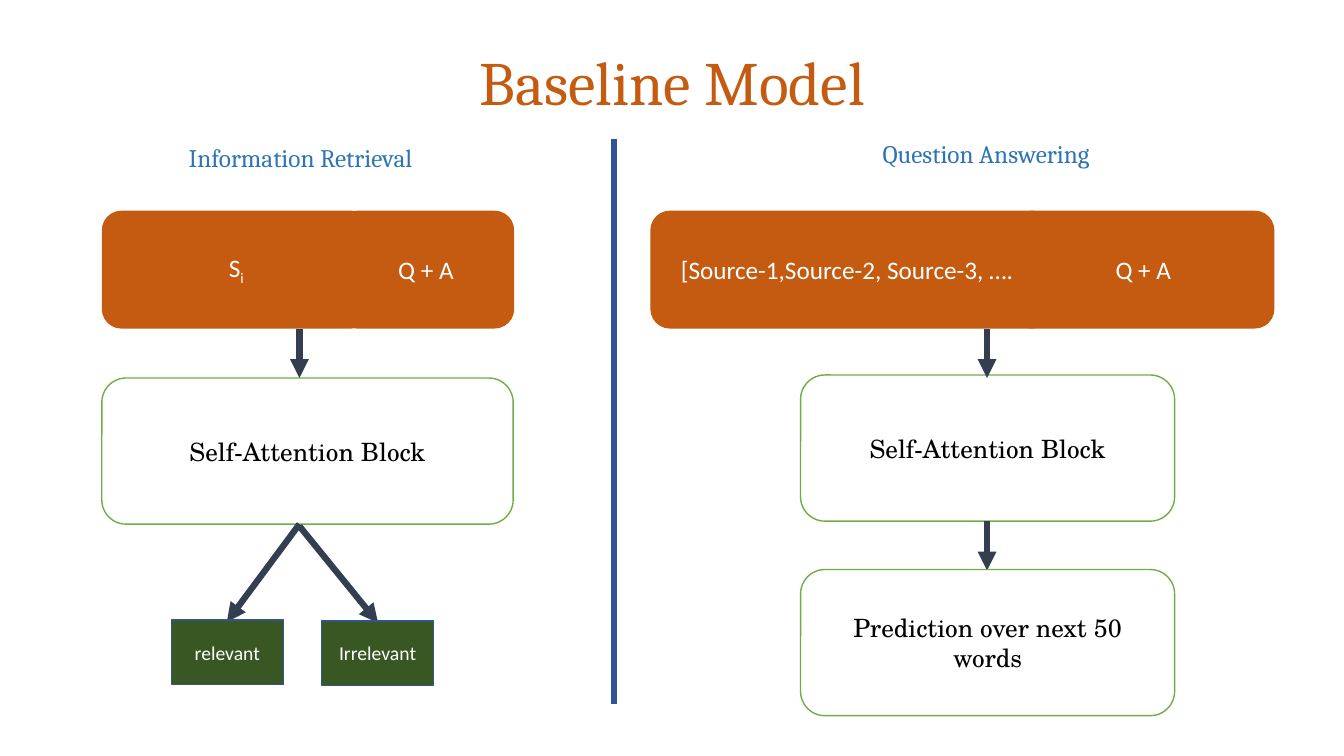
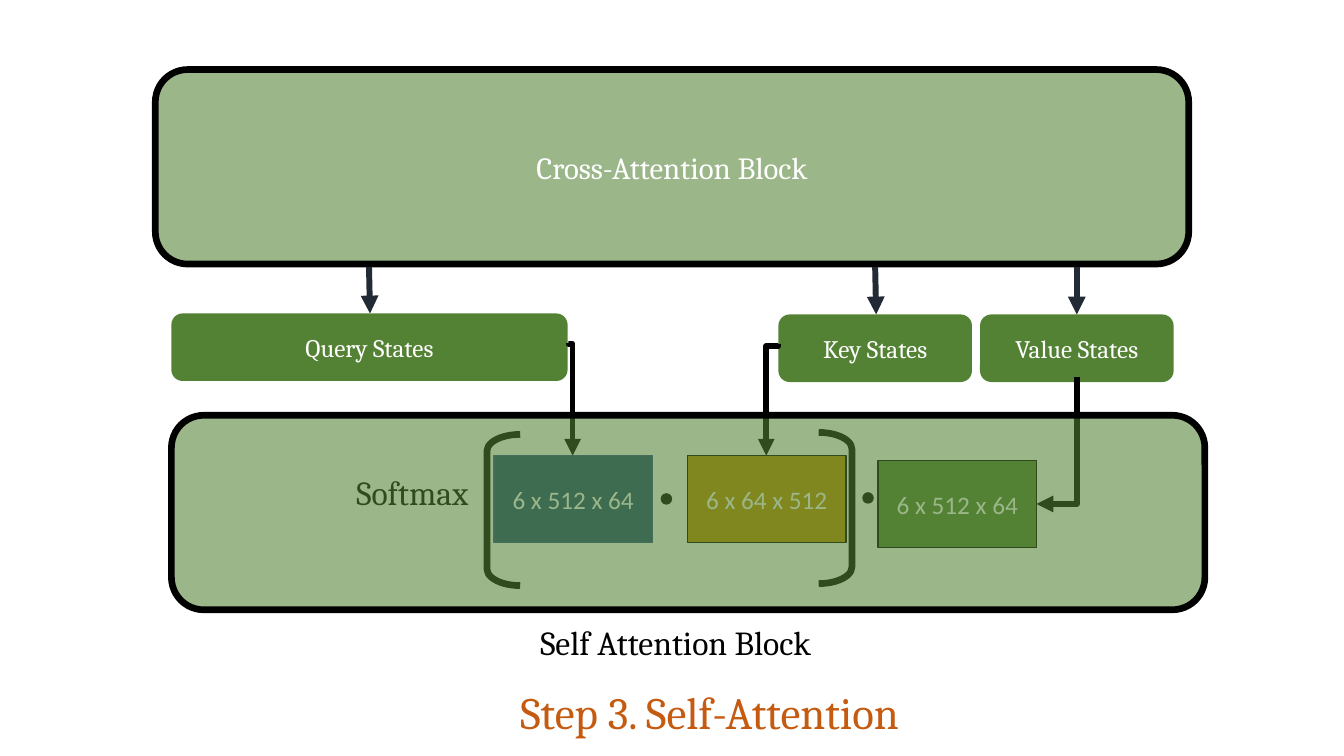
from dataclasses import dataclass
from typing import Optional

from lxml import etree
from pptx import Presentation
from pptx.dml.color import RGBColor
from pptx.enum import shapes, text
from pptx.oxml import ns
from pptx.util import Inches, Pt

WHITE = RGBColor(0xFF, 0xFF, 0xFF)
BLACK = RGBColor(0x00, 0x00, 0x00)
ORANGE = RGBColor(0xC5, 0x5A, 0x11)
HEADING_BLUE = RGBColor(0x2E, 0x75, 0xB6)
DIVIDER_BLUE = RGBColor(0x2F, 0x55, 0x97)
EDGE_BLUE = RGBColor(0x32, 0x54, 0x91)
DEEP_BLUE = RGBColor(0x1F, 0x4E, 0x79)
GOLD = RGBColor(0xBF, 0x90, 0x00)
GREEN = RGBColor(0x54, 0x82, 0x35)
DARK_GREEN = RGBColor(0x38, 0x57, 0x23)
LIGHT_GREEN = RGBColor(0x70, 0xAD, 0x47)
SLATE = RGBColor(0x33, 0x3F, 0x50)
DARK_SLATE = RGBColor(0x22, 0x2A, 0x35)

SANS, SERIF, SCHOLA = "Calibri", "Cambria", "TeX Gyre Schola"
RECT = shapes.MSO_SHAPE.RECTANGLE
ROUNDED = shapes.MSO_SHAPE.ROUNDED_RECTANGLE
DOT = shapes.MSO_SHAPE.FLOWCHART_CONNECTOR
CENTER = text.PP_ALIGN.CENTER

Point = tuple[float, float]
Frame = tuple[float, float, float, float]


@dataclass(frozen=True)
class Type:
    font: str
    size: float
    color: RGBColor = WHITE


@dataclass(frozen=True)
class Look:
    kind: shapes.MSO_SHAPE
    type: Type
    fill: Optional[RGBColor] = None
    line: Optional[RGBColor] = None
    weight: float = 1
    opacity: int = 100


@dataclass(frozen=True)
class Box:
    look: Look
    frame: Frame
    words: str = ""
    subscript: str = ""


@dataclass(frozen=True)
class Stroke:
    color: RGBColor
    weight: float
    arrow: bool = True


BODY = Type(SANS, 18)
INPUT = Look(ROUNDED, BODY, ORANGE)
BLOCK = Look(ROUNDED, Type(SCHOLA, 18, BLACK), WHITE, LIGHT_GREEN)
OUTCOME = Look(RECT, Type(SANS, 14), DARK_GREEN, EDGE_BLUE)
STATE = Look(ROUNDED, Type(SERIF, 18), GREEN)
PANEL = Look(ROUNDED, Type(SERIF, 22), GREEN, BLACK, 4.75, 58)
QUERY_MATRIX = Look(RECT, BODY, DEEP_BLUE, EDGE_BLUE)
KEY_MATRIX = Look(RECT, BODY, GOLD, BLACK)
VALUE_MATRIX = Look(RECT, BODY, GREEN, BLACK)
PRODUCT = Look(DOT, BODY, BLACK, BLACK)
OPEN_BRACKET = Look(shapes.MSO_SHAPE.LEFT_BRACKET, BODY, None, BLACK, 4.75)
CLOSE_BRACKET = Look(shapes.MSO_SHAPE.RIGHT_BRACKET, BODY, None, BLACK, 4.75)

HEADING = Type(SERIF, 18, HEADING_BLUE)
LABEL = Type(SERIF, 24, BLACK)
FLOW = Stroke(SLATE, 4.5)
STATE_FLOW = Stroke(DARK_SLATE, 4.25)
MATRIX_FLOW = Stroke(BLACK, 4)
DIVIDER = Stroke(DIVIDER_BLUE, 4.25, arrow=False)


def inches(frame: Frame) -> list[Inches]:
    return [Inches(length) for length in frame]


def add_span(para, words: str, style: Type):
    span = para.add_run()
    span.text = words
    span.font.name = style.font
    span.font.size = Pt(style.size)
    span.font.color.rgb = style.color
    return span


def add_titled_page(deck, words: str, frame: Frame, size: float):
    page = deck.slides.add_slide(deck.slide_layouts[5])
    title = page.shapes.title
    title.left, title.top, title.width, title.height = inches(frame)
    title.text_frame.auto_size = text.MSO_AUTO_SIZE.NONE
    title.text_frame.vertical_anchor = text.MSO_ANCHOR.MIDDLE
    para = title.text_frame.paragraphs[0]
    para.alignment = CENTER
    para.line_spacing = 0.9
    add_span(para, words, Type(SERIF, size, ORANGE))
    return page


def add_box(page, box: Box):
    look = box.look
    shape = page.shapes.add_shape(look.kind, *inches(box.frame))
    shape.shadow.inherit = False
    if look.fill is None:
        shape.fill.background()
    else:
        shape.fill.solid()
        shape.fill.fore_color.rgb = look.fill
        if look.opacity < 100:
            color = shape._element.spPr.find(f".//{ns.qn('a:srgbClr')}")
            etree.SubElement(color, ns.qn("a:alpha"), val=str(look.opacity * 1000))
    if look.line is None:
        shape.line.fill.background()
    else:
        shape.line.color.rgb = look.line
        shape.line.width = Pt(look.weight)
    if box.words:
        shape.text_frame.word_wrap = True
        shape.text_frame.vertical_anchor = text.MSO_ANCHOR.MIDDLE
        para = shape.text_frame.paragraphs[0]
        para.alignment = CENTER
        add_span(para, box.words, look.type)
        if box.subscript:
            span = add_span(para, box.subscript, look.type)
            span._r.get_or_add_rPr().set("baseline", "-25000")
    return shape


def add_boxes(page, boxes: list[Box]) -> None:
    for box in boxes:
        add_box(page, box)


def add_label(page, words: str, frame: Frame, style: Type, alignment=CENTER) -> None:
    box = page.shapes.add_textbox(*inches(frame))
    box.text_frame.word_wrap = True
    box.text_frame.auto_size = text.MSO_AUTO_SIZE.SHAPE_TO_FIT_TEXT
    para = box.text_frame.paragraphs[0]
    para.alignment = alignment
    add_span(para, words, style)


def add_line(page, start: Point, end: Point, stroke: Stroke,
             kind=shapes.MSO_CONNECTOR.STRAIGHT):
    line = page.shapes.add_connector(kind, *inches((*start, *end)))
    line.line.color.rgb = stroke.color
    line.line.width = Pt(stroke.weight)
    if stroke.arrow:
        etree.SubElement(line.line._get_or_add_ln(), ns.qn("a:tailEnd"), type="triangle")
    etree.SubElement(line._element.spPr, ns.qn("a:effectLst"))
    return line


def add_elbow(page, start: Point, end: Point, bend: Optional[float] = None) -> None:
    """Leave start downwards; bend is the share of the drop before the turn,
    and without it the arrow turns once and arrives sideways."""
    line = add_line(page, start, end, MATRIX_FLOW, shapes.MSO_CONNECTOR.ELBOW)
    run, drop = abs(end[0] - start[0]), end[1] - start[1]
    middle_x, middle_y = (start[0] + end[0]) / 2, (start[1] + end[1]) / 2
    line.left, line.top, line.width, line.height = inches(
        (middle_x - drop / 2, middle_y - run / 2, drop, run))
    frame = line._element.spPr.find(ns.qn("a:xfrm"))
    frame.attrib.pop("flipH", None)
    rightwards = end[0] > start[0]
    frame.set("rot", str((270 if rightwards else 90) * 60000))
    if rightwards:
        frame.set("flipH", "1")
    geometry = line._element.spPr.find(ns.qn("a:prstGeom"))
    if bend is None:
        geometry.set("prst", "bentConnector2")
    else:
        etree.SubElement(geometry.find(ns.qn("a:avLst")), ns.qn("a:gd"),
                         name="adj1", fmla=f"val {round(bend * 100000)}")


def build_baseline(deck) -> None:
    page = add_titled_page(deck, "Baseline Model", (0.92, 0.4, 11.5, 0.89), 44)
    input_top, input_height, block_height = 2.09, 1.17, 1.45
    input_bottom = input_top + input_height
    retrieval_x, answering_x = 2.97, 9.79

    add_boxes(page, [
        Box(INPUT, (1.01, input_top, 2.67, input_height), "S", "i"),
        Box(INPUT, (3.35, input_top, 1.75, input_height), "Q + A"),
        Box(BLOCK, (1.01, 3.75, 4.08, block_height), "Self-Attention Block"),
    ])
    add_line(page, (retrieval_x, input_bottom), (retrieval_x, 3.75), FLOW)
    add_line(page, (retrieval_x, 5.2), (2.25, 6.17), FLOW)
    add_line(page, (retrieval_x, 5.22), (3.75, 6.18), FLOW)
    add_boxes(page, [
        Box(OUTCOME, (1.7, 6.15, 1.11, 0.64), "relevant"),
        Box(OUTCOME, (3.19, 6.16, 1.11, 0.64), "Irrelevant"),
    ])

    add_line(page, (6.09, 1.38), (6.09, 6.98), DIVIDER)
    add_label(page, "Information Retrieval", (1.09, 1.36, 3.78, 0.4), HEADING)
    add_label(page, "Question Answering", (7.89, 1.32, 3.78, 0.4), HEADING)

    add_boxes(page, [
        Box(INPUT, (6.45, input_top, 3.98, input_height),
            "[Source-1,Source-2, Source-3, ….]"),
        Box(INPUT, (10.04, input_top, 2.6, input_height), "Q + A"),
        Box(BLOCK, (7.94, 3.72, 3.71, block_height), "Self-Attention Block"),
    ])
    for top in (input_bottom, 3.72 + block_height):
        add_line(page, (answering_x, top), (answering_x, top + 0.49), FLOW)
    add_box(page, Box(BLOCK, (7.94, 5.65, 3.71, block_height),
                      "Prediction over next 50 words"))


def build_self_attention(deck) -> None:
    page = add_titled_page(deck, "Step 3. Self-Attention", (3.39, 6.37, 7.3, 1.45), 32)
    panel_size = (10.25, 1.93)
    matrix_size = (1.57, 0.86)

    add_box(page, Box(PANEL, (1.54, 0.69, *panel_size), "Cross-Attention Block"))
    for start_x, end in ((3.66, (3.67, 3.11)), (8.68, (8.69, 3.12)), (10.68, (10.68, 3.12))):
        add_line(page, (start_x, 2.65), end, STATE_FLOW)
    add_boxes(page, [
        Box(STATE, (1.7, 3.11, 3.93, 0.67), "Query States"),
        Box(STATE, (7.72, 3.12, 1.92, 0.67), "Key States"),
        Box(STATE, (9.72, 3.12, 1.92, 0.67), "Value States"),
        Box(QUERY_MATRIX, (4.9, 4.52, *matrix_size), "6 x 512 x 64"),
        Box(KEY_MATRIX, (6.82, 4.52, *matrix_size), "6 x 64 x 512"),
        Box(VALUE_MATRIX, (8.71, 4.57, *matrix_size), "6 x 512 x 64"),
        Box(PRODUCT, (6.56, 4.9, 0.1, 0.1)),
        Box(PRODUCT, (8.56, 4.89, 0.1, 0.1)),
    ])
    for look, left, top in ((CLOSE_BRACKET, 8.12, 4.29), (OPEN_BRACKET, 4.83, 4.31)):
        add_box(page, Box(look, (left, top, 0.33, 1.5))).adjustments[0] = 0.5

    add_label(page, "Softmax", (3.28, 4.63, 1.62, 0.5), LABEL)
    add_label(page, "Self Attention Block", (5.26, 6.12, 3.68, 0.5), LABEL,
              text.PP_ALIGN.LEFT)
    add_elbow(page, (5.64, 3.4), (5.68, 4.52), 0.01)
    add_elbow(page, (7.72, 3.41), (7.6, 4.52), 0.02)
    add_elbow(page, (10.68, 3.74), (10.28, 5))
    add_box(page, Box(PANEL, (1.7, 4.12, *panel_size)))


def main() -> None:
    deck = Presentation()
    deck.slide_width, deck.slide_height = Inches(13.33), Inches(7.5)
    build_baseline(deck)
    build_self_attention(deck)
    deck.save("out.pptx")


if __name__ == "__main__":
    main()
